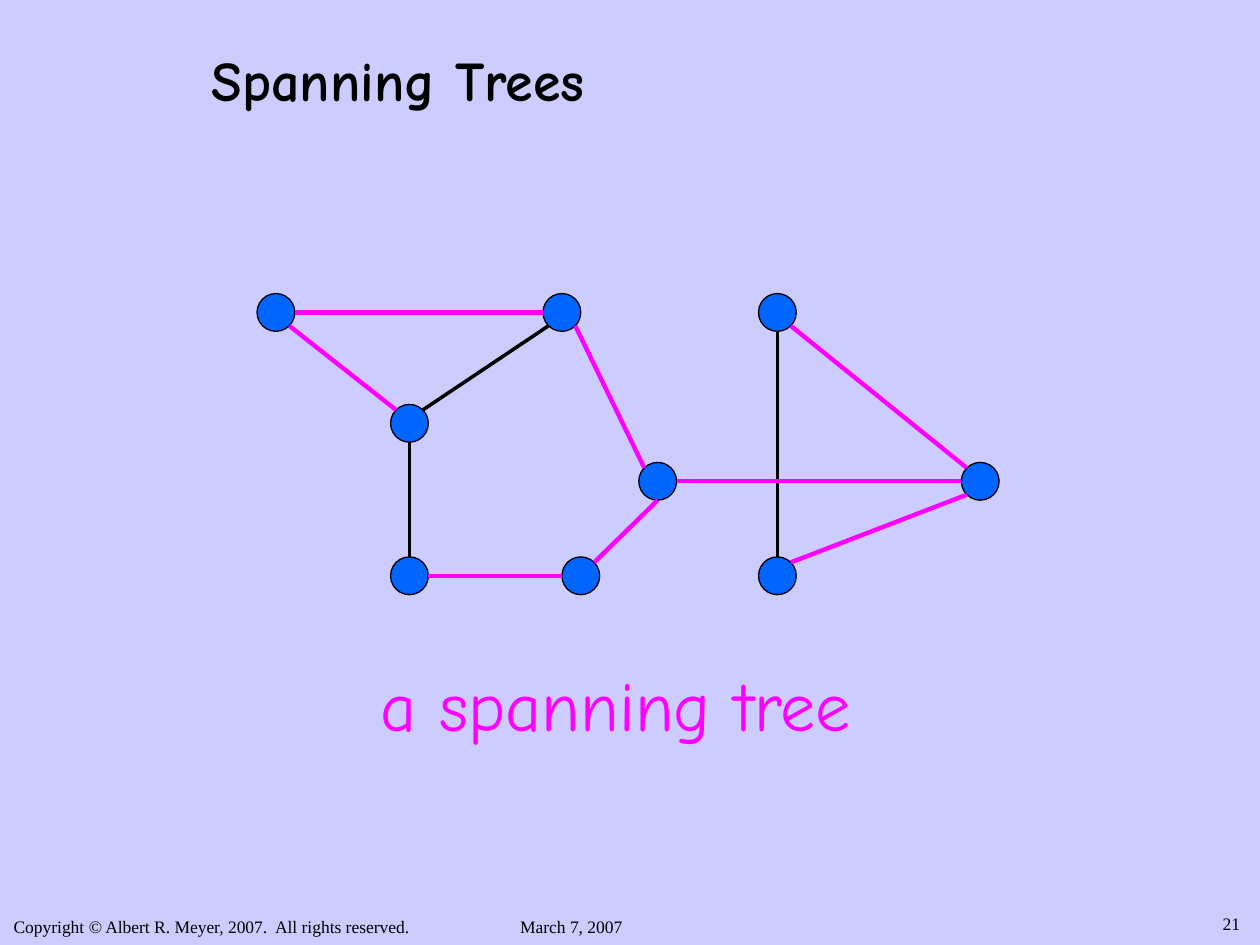
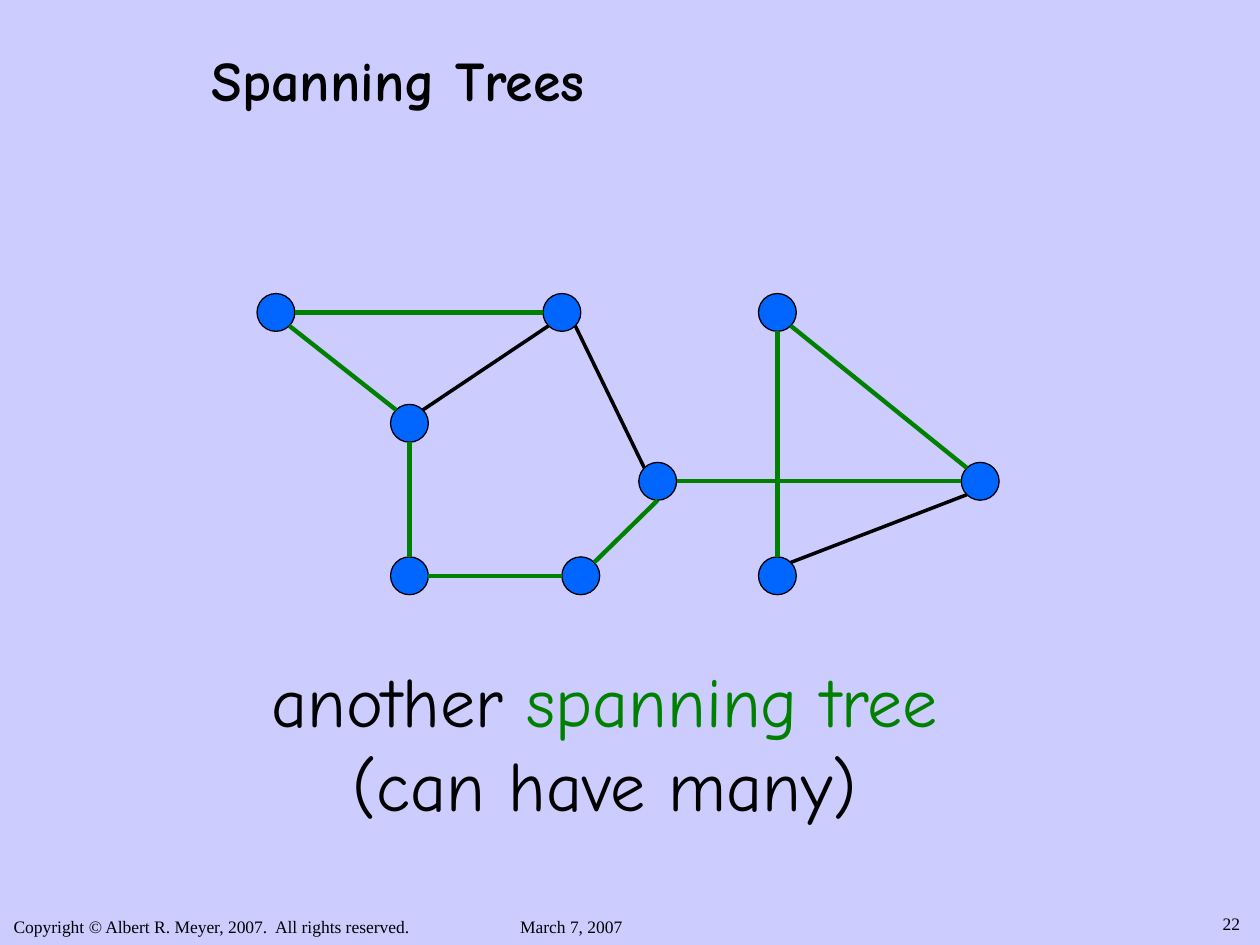
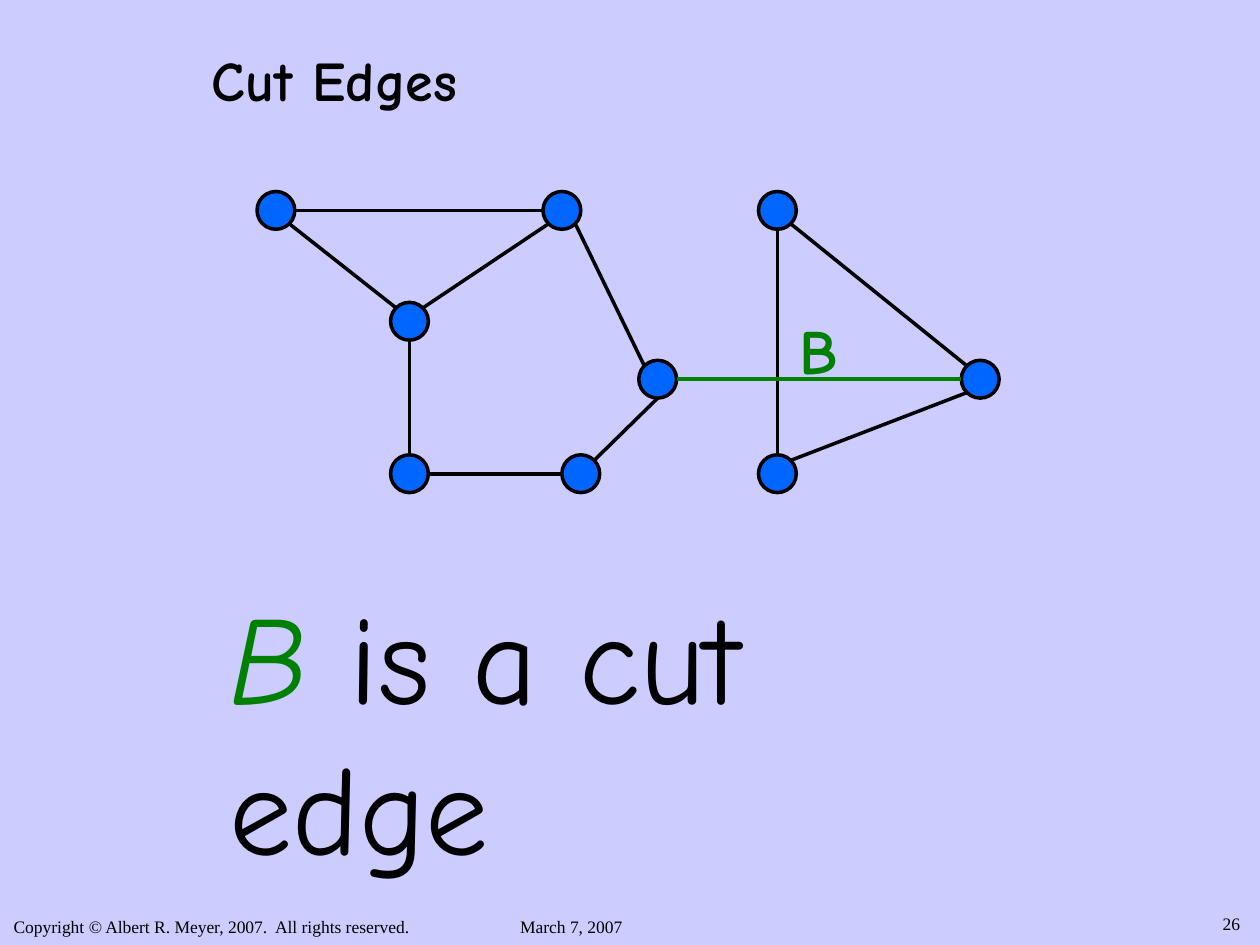
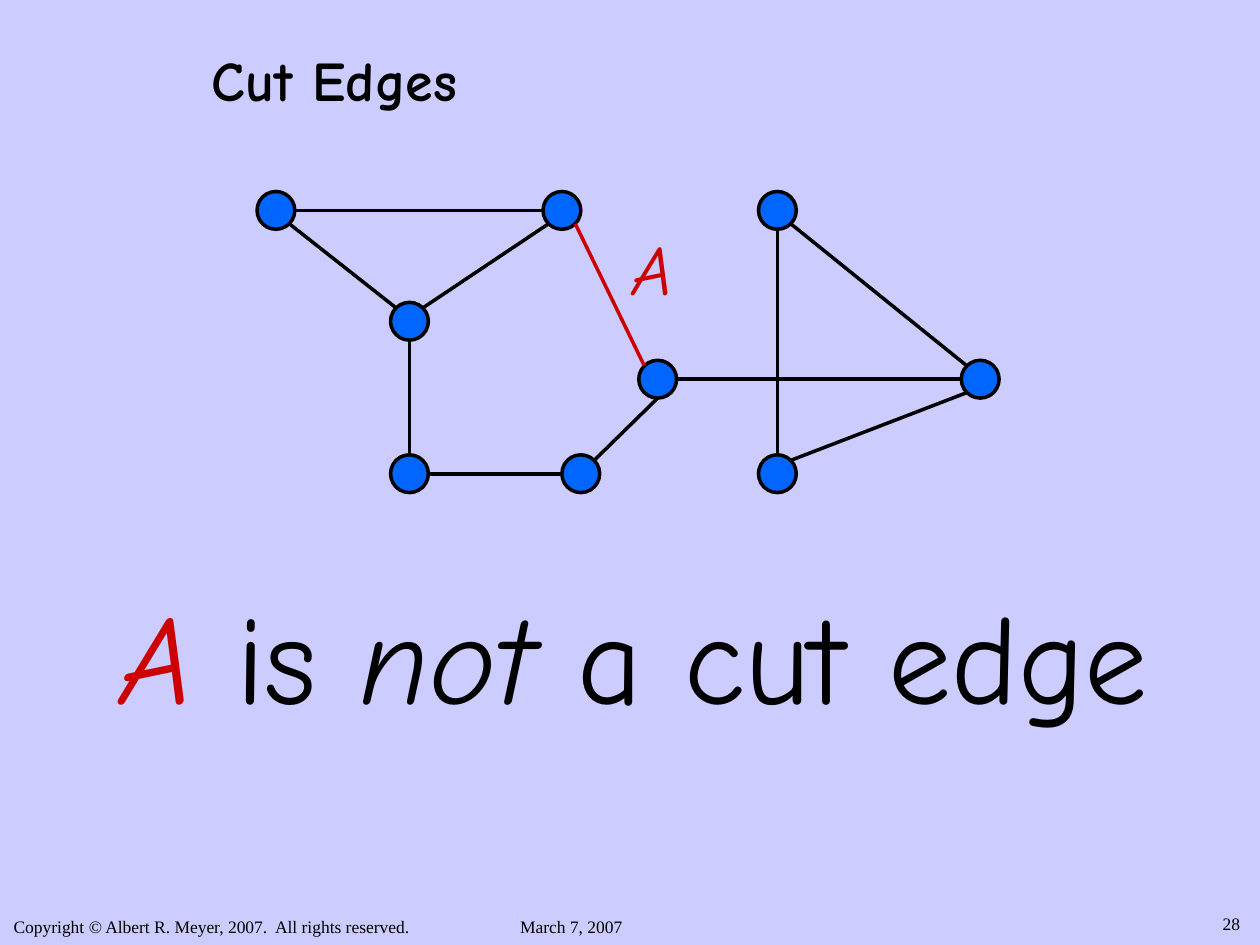
from math import sqrt

from lxml.etree import SubElement
from pptx import Presentation
from pptx.dml.color import RGBColor
from pptx.enum.shapes import MSO_CONNECTOR, MSO_SHAPE
from pptx.enum.text import MSO_ANCHOR, MSO_AUTO_SIZE, PP_ALIGN
from pptx.oxml.ns import qn
from pptx.util import Inches, Pt

BLACK, BLUE, LAVENDER = "000000", "0066FF", "CCCCFF"
MAGENTA, GREEN, RED = "FF00FF", "008000", "CC0000"
HAND, SERIF = "Comic Neue", "Times New Roman"

# Left and top of each vertex, the top measured from the top of the graph
DIAMETER = 0.3
VERTICES = {
    "a": (2.04, 0), "b": (3.1, 0.88), "c": (4.31, 0),
    "d": (3.1, 2.09), "e": (5.07, 1.34), "f": (4.46, 2.09),
    "g": (6.02, 0), "h": (6.02, 2.09), "i": (7.63, 1.34),
}
# Each edge: the side of the vertex where it starts and the one where it ends
EDGES = {
    "ab": ("SE", "NW"), "bc": ("NE", "SW"), "ca": ("W", "E"),
    "bd": ("S", "N"), "df": ("E", "W"), "fe": ("NE", "S"),
    "ih": ("SW", "NE"), "gi": ("SE", "NW"), "gh": ("S", "N"),
    "ei": ("E", "W"), "ce": ("SE", "NW"),
}
DIAGONAL = sqrt(0.5)
DIRECTIONS = {
    "N": (0, -1), "S": (0, 1), "W": (-1, 0), "E": (1, 0),
    "NW": (-DIAGONAL, -DIAGONAL), "NE": (DIAGONAL, -DIAGONAL),
    "SW": (-DIAGONAL, DIAGONAL), "SE": (DIAGONAL, DIAGONAL),
}

# A text is a list of lines; a line is a list of (words, format) runs
FOOTERS = [
    ((4.03, 7.22, 1.01, 0.27), [[("March 7, 2007", {})]]),
    ((0.01, 7.22, 3.36, 0.27), [[
        ("Copyright ", {}), ("©", {"italic": True}),
        (" Albert R. Meyer, 2007.  All rights reserved.", {}),
    ]]),
]
FOOTER_FORMAT = {"name": SERIF, "size": Pt(10)}
NUMBER_PLACE = (8.32, 7.2, 1.62, 0.27)

TREE = {"title": "Spanning Trees", "graph_top": 2.33, "outline": 0.75, "marked_width": 2.5}
CUT = {"title": "Cut Edges", "graph_top": 1.52, "outline": 2, "marked_width": 2}
SLIDES = [
    {**TREE, "number": 21, "mark": MAGENTA,
     "marked": ["ab", "ca", "df", "fe", "ce", "ei", "gi", "ih"],
     "texts": [((2.92, 5.2, 3.94, 0.77), 40, PP_ALIGN.LEFT,
                [[("a spanning tree", {"color": MAGENTA})]])]},
    {**TREE, "number": 22, "mark": GREEN,
     "marked": ["ab", "ca", "bd", "df", "fe", "ei", "gi", "gh"],
     "texts": [((2.05, 5.17, 5.5, 1.44), 40, PP_ALIGN.CENTER,
                [[("another ", {}), ("spanning tree", {"color": GREEN})],
                 [("(can have many)", {})]])]},
    {**CUT, "number": 26, "mark": GREEN, "marked": ["ei"],
     "texts": [((6.25, 2.42, 0.5, 0.7), 36, PP_ALIGN.LEFT,
                [[("B", {"color": GREEN, "bold": True})]]),
               ((1.72, 4.54, 6.65, 1.3), 72, PP_ALIGN.LEFT,
                [[("B", {"color": GREEN, "italic": True}), (" is a cut edge", {})]])]},
    {**CUT, "number": 28, "mark": RED, "marked": ["ce"],
     "texts": [((0.86, 4.54, 8.35, 1.3), 72, PP_ALIGN.LEFT,
                [[("A ", {"color": RED, "italic": True}), ("is ", {}),
                  ("not", {"italic": True}), (" a cut edge", {})]]),
               ((4.92, 1.74, 0.52, 0.77), 40, PP_ALIGN.LEFT,
                [[("A", {"color": RED, "italic": True})]])]},
]


def rgb(color):
    return RGBColor.from_string(color)


def inches(*lengths):
    return [Inches(length) for length in lengths]


def format_font(font, color=BLACK, **values):
    font.color.rgb = rgb(color)
    for name, value in values.items():
        setattr(font, name, value)


def add_text(slide, place, lines, base, align=PP_ALIGN.LEFT, wrap=False):
    """Add a text box whose runs take the base format plus their own; it grows unless wrapped."""
    box = slide.shapes.add_textbox(*inches(*place))
    frame = box.text_frame
    frame.word_wrap = wrap
    frame.auto_size = MSO_AUTO_SIZE.NONE if wrap else MSO_AUTO_SIZE.SHAPE_TO_FIT_TEXT
    for index, line in enumerate(lines):
        paragraph = frame.add_paragraph() if index else frame.paragraphs[0]
        paragraph.alignment = align
        for words, own in line:
            run = paragraph.add_run()
            run.text = words
            format_font(run.font, **{**base, **own})
    return box


def set_title(slide, words):
    title = slide.shapes.title
    title.left, title.top, title.width, title.height = inches(1.58, 0, 8.25, 1.25)
    frame = title.text_frame
    frame.text = words
    frame.auto_size = MSO_AUTO_SIZE.NONE
    frame.vertical_anchor = MSO_ANCHOR.MIDDLE
    paragraph = frame.paragraphs[0]
    paragraph.alignment = PP_ALIGN.LEFT
    format_font(paragraph.runs[0].font, name=HAND, size=Pt(32), bold=True)


def edge_end(vertex, side, graph_top):
    """Return the point on the vertex's rim that faces the given side."""
    left, top = VERTICES[vertex]
    radius = DIAMETER / 2
    across, down = DIRECTIONS[side]
    return inches(left + radius * (1 + across), graph_top + top + radius * (1 + down))


def add_graph(slide, page):
    graph_top = page["graph_top"]
    for left, top in VERTICES.values():
        vertex = slide.shapes.add_shape(
            MSO_SHAPE.OVAL, *inches(left, graph_top + top, DIAMETER, DIAMETER))
        vertex.shadow.inherit = False
        vertex.fill.solid()
        vertex.fill.fore_color.rgb = rgb(BLUE)
        vertex.line.color.rgb = rgb(BLACK)
        vertex.line.width = Pt(page["outline"])
    for (start, end), (start_side, end_side) in EDGES.items():
        marked = start + end in page["marked"]
        edge = slide.shapes.add_connector(
            MSO_CONNECTOR.STRAIGHT,
            *edge_end(start, start_side, graph_top), *edge_end(end, end_side, graph_top))
        edge.line.color.rgb = rgb(page["mark"] if marked else BLACK)
        edge.line.width = Pt(page["marked_width"] if marked else 2)
        SubElement(edge.element.spPr, qn("a:effectLst"))


def main():
    deck = Presentation()
    deck.slide_width, deck.slide_height = inches(10, 7.5)
    background = deck.slide_master.background.fill
    background.solid()
    background.fore_color.rgb = rgb(LAVENDER)
    layout = deck.slide_layouts[5]

    for index, page in enumerate(SLIDES):
        slide = deck.slides.add_slide(layout)
        if index == 0:
            # Layouts cannot add text boxes, so the shared footers are moved there
            for place, lines in FOOTERS:
                footer = add_text(slide, place, lines, FOOTER_FORMAT)
                layout.shapes.element.append(footer.element)
        set_title(slide, page["title"])
        add_graph(slide, page)
        for place, size, align, lines in page["texts"]:
            add_text(slide, place, lines, {"name": HAND, "size": Pt(size)}, align)
        add_text(slide, NUMBER_PLACE, [[(str(page["number"]), {})]], FOOTER_FORMAT,
                 PP_ALIGN.RIGHT, wrap=True)

    deck.save("out.pptx")


if __name__ == "__main__":
    main()
